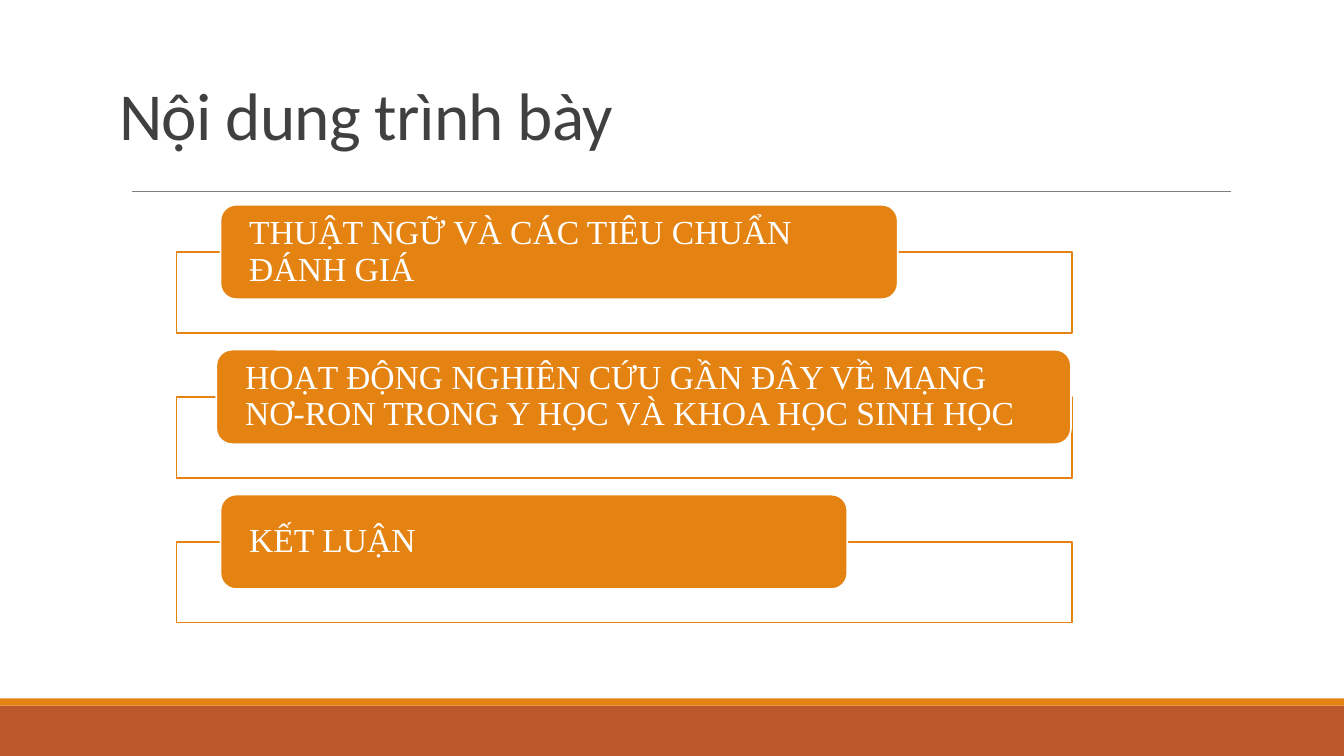
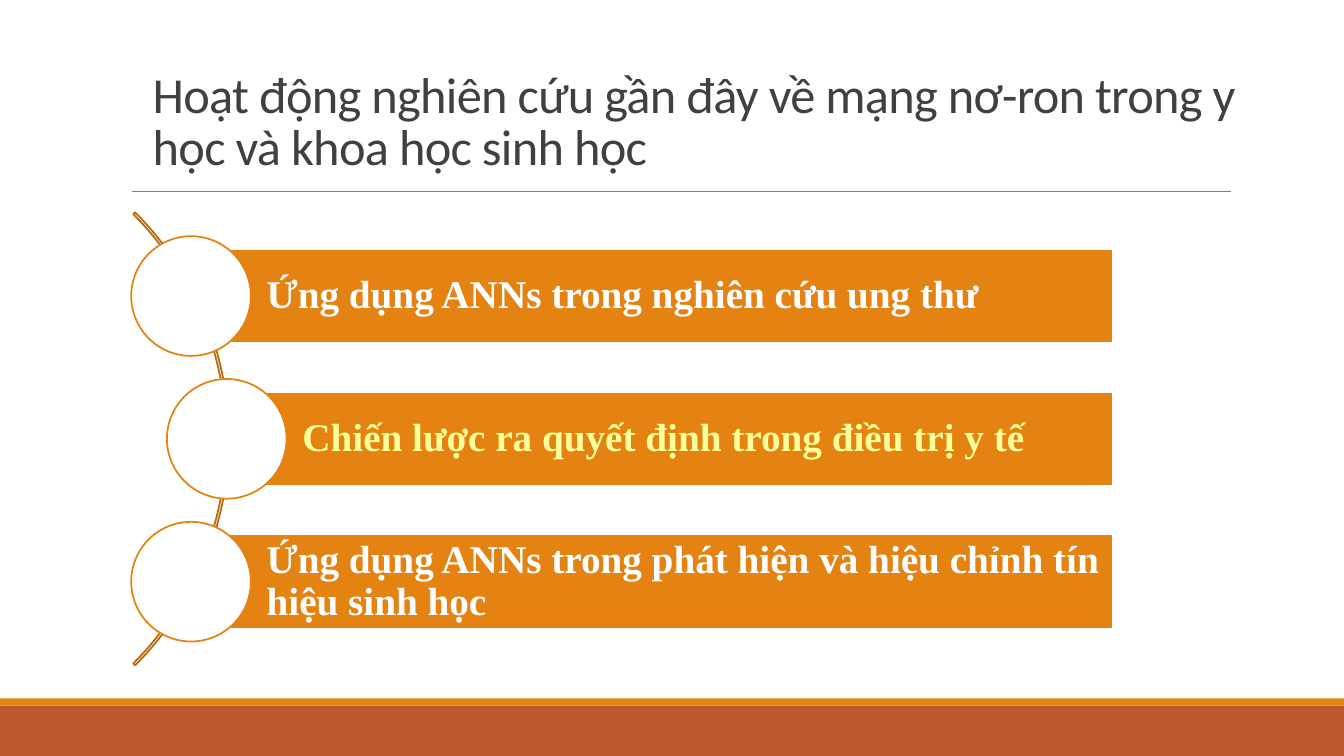
from dataclasses import dataclass

from lxml.etree import SubElement
from pptx import Presentation
from pptx.dml.color import RGBColor
from pptx.enum.shapes import MSO_CONNECTOR, MSO_SHAPE
from pptx.enum.text import MSO_ANCHOR, PP_ALIGN
from pptx.oxml.ns import qn
from pptx.util import Pt

EMU_PER_PX = 9525
SLIDE_WIDTH, SLIDE_HEIGHT = 1280, 720


@dataclass(frozen=True)
class Theme:
    orange: str = "E48312"
    rust: str = "BD582C"
    brown: str = "B7690E"
    gray: str = "808080"
    ink: str = "404040"
    white: str = "FFFFFF"
    yellow: str = "FFFF99"
    heading_font: str = "Calibri"
    body_font: str = "Times New Roman"
    heading_size: int = 48
    long_heading_size: int = 36
    agenda_size: int = 24
    topic_size: int = 28
    outline: float = 1.25
    rule: float = 0.5


THEME = Theme()


def px(*lengths):
    return [length * EMU_PER_PX for length in lengths]


def rgb(color):
    return RGBColor.from_string(color)


def add_block(slide, preset, box, fill=None, line=None):
    block = slide.shapes.add_shape(preset, *px(*box))
    block.shadow.inherit = False
    if fill:
        block.fill.solid()
        block.fill.fore_color.rgb = rgb(fill)
    else:
        block.fill.background()
    if line:
        block.line.color.rgb = rgb(line)
        block.line.width = Pt(THEME.outline)
    else:
        block.line.fill.background()
    return block


def write(holder, text, font, size, color, spacing, anchor, bold=False, insets=None):
    frame = holder.text_frame
    frame.word_wrap = True
    frame.vertical_anchor = anchor
    if insets:
        (frame.margin_left, frame.margin_top,
         frame.margin_right, frame.margin_bottom) = px(*insets)
    paragraph = frame.paragraphs[0]
    paragraph.text = text
    paragraph.alignment = PP_ALIGN.LEFT
    paragraph.line_spacing = spacing
    run = paragraph.runs[0]
    run.font.name = font
    run.font.size = Pt(size)
    run.font.bold = bold
    run.font.color.rgb = rgb(color)
    return run


def add_rule(slide, left, right, y):
    rule = slide.shapes.add_connector(MSO_CONNECTOR.STRAIGHT, *px(left, y, right, y))
    rule.line.color.rgb = rgb(THEME.gray)
    rule.line.width = Pt(THEME.rule)
    SubElement(rule._element.spPr, qn("a:effectLst"))


def add_titled_slide(deck, title, box, size):
    slide = deck.slides.add_slide(deck.slide_layouts[6])
    add_block(slide, MSO_SHAPE.RECTANGLE, (0, 672, SLIDE_WIDTH, 48), THEME.rust)
    add_block(slide, MSO_SHAPE.RECTANGLE, (0, 665, SLIDE_WIDTH, 7), THEME.orange)
    add_rule(slide, 126, 1172, 182)
    heading = slide.shapes.add_textbox(*px(*box))
    run = write(heading, title, THEME.heading_font, size, THEME.ink, 0.85, MSO_ANCHOR.BOTTOM)
    run.font._element.set("spc", "-50")
    return slide


def add_agenda_item(slide, top, text, left, width):
    add_block(slide, MSO_SHAPE.RECTANGLE, (168, top + 45, 853, 77), THEME.white, THEME.orange)
    card = add_block(slide, MSO_SHAPE.ROUNDED_RECTANGLE, (left, top, width, 90),
                     THEME.orange, THEME.white)
    write(card, text, THEME.body_font, THEME.agenda_size, THEME.white, 0.9,
          MSO_ANCHOR.MIDDLE, insets=(23, 0, 23, 0))


def add_topic(slide, top, text, left, color):
    right, height, diameter = 1060, 90, 114
    bar = add_block(slide, MSO_SHAPE.RECTANGLE, (left, top, right - left, height),
                    THEME.orange, THEME.white)
    write(bar, text, THEME.body_font, THEME.topic_size, color, 0.9,
          MSO_ANCHOR.MIDDLE, bold=True, insets=(72, 8, 8, 8))
    add_block(slide, MSO_SHAPE.OVAL,
              (left - diameter // 2, top - (diameter - height) // 2, diameter, diameter),
              THEME.white, THEME.orange)


def build_agenda(deck):
    slide = add_titled_slide(deck, "Nội dung trình bày", (104, 32, 1112, 120),
                             THEME.heading_size)
    items = [
        ("THUẬT NGỮ VÀ CÁC TIÊU CHUẨN ĐÁNH GIÁ", 210, 645),
        ("HOẠT ĐỘNG NGHIÊN CỨU GẦN ĐÂY VỀ MẠNG NƠ-RON TRONG Y HỌC VÀ KHOA HỌC SINH HỌC",
         206, 814),
        ("KẾT LUẬN", 210, 597),
    ]
    for index, item in enumerate(items):
        add_agenda_item(slide, 195 + index * 138, *item)


def build_research(deck):
    slide = add_titled_slide(
        deck, "Hoạt động nghiên cứu gần đây về mạng nơ-ron trong y học và khoa học sinh học",
        (136, 64, 1104, 108), THEME.long_heading_size)
    arc = add_block(slide, MSO_SHAPE.BLOCK_ARC, (-392, 113, 610, 610), line=THEME.brown)
    for index, value in enumerate((189, 27, 0.004)):
        arc.adjustments[index] = value
    topics = [
        ("Ứng dụng ANNs trong nghiên cứu ung thư", 182, THEME.white),
        ("Chiến lược ra quyết định trong điều trị y tế", 216, THEME.yellow),
        ("Ứng dụng ANNs trong phát hiện và hiệu chỉnh tín hiệu sinh học", 182, THEME.white),
    ]
    for index, topic in enumerate(topics):
        add_topic(slide, 237 + index * 136, *topic)


def main():
    deck = Presentation()
    deck.slide_width, deck.slide_height = px(SLIDE_WIDTH, SLIDE_HEIGHT)
    build_agenda(deck)
    build_research(deck)
    deck.save("out.pptx")


if __name__ == "__main__":
    main()
